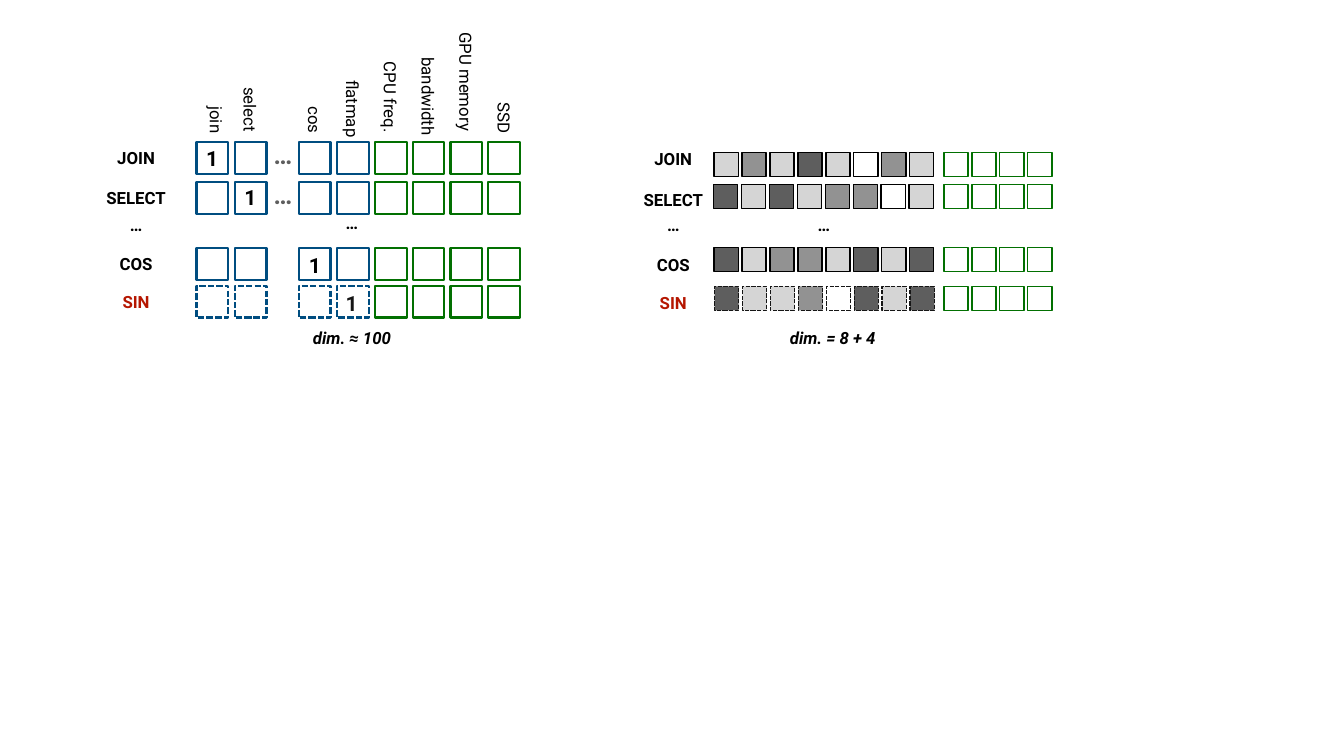
import dataclasses
import typing

import pptx
import pptx.dml.color
import pptx.enum.dml
import pptx.enum.shapes
import pptx.enum.text
import pptx.oxml.ns
import pptx.util

Inches = pptx.util.Inches
RGBColor = pptx.dml.color.RGBColor

BLACK = RGBColor(0x00, 0x00, 0x00)
INK = RGBColor(0x15, 0x15, 0x15)
BLUE = RGBColor(0x00, 0x4D, 0x80)
GREEN = RGBColor(0x02, 0x70, 0x01)
RED = RGBColor(0xB5, 0x16, 0x00)
DARK = RGBColor(0x5E, 0x5E, 0x5E)
SHADES = {
    "D": DARK,
    "M": RGBColor(0x92, 0x92, 0x92),
    "L": RGBColor(0xD5, 0xD5, 0xD5),
    "W": RGBColor(0xFF, 0xFF, 0xFF),
}

FONT = "Roboto"
ONE_HOT_SIZE = 0.63
ONE_HOT_COLUMNS = (3.9, 4.66, 5.93, 6.69)
HARDWARE_COLUMNS = tuple(7.44 + 0.75 * i for i in range(4))
EMBEDDING_SIZE = 0.48
EMBEDDING_PITCH = (18.05 - 14.17) / 7
EMBEDDING_HARDWARE_LEFT = 18.73
ONE_HOT_LABEL_CENTER = 2.7
EMBEDDING_LABEL_CENTER = 13.36


@dataclasses.dataclass(frozen=True)
class Header:
    text: str
    left: float
    top: float
    height: float


@dataclasses.dataclass(frozen=True)
class Operator:
    name: str
    label_width: float
    one_hot_top: float
    one_hot_label_top: float
    digit_left: float
    digit_top: float
    embedding_left: float
    embedding_top: float
    embedding_label_top: float
    shades: str
    has_gap_dots: bool = False
    is_new: bool = False


HEADERS = (
    Header("join", 4.05, 2.05, 0.65),
    Header("select", 4.72, 1.67, 1.01),
    Header("cos", 6, 2.05, 0.66),
    Header("flatmap", 6.75, 1.53, 1.24),
    Header("CPU freq.", 7.5, 1.17, 1.59),
    Header("bandwidth", 8.25, 1.08, 1.7),
    Header("GPU memory", 9, 0.58, 2.14),
    Header("SSD", 9.76, 1.98, 0.79),
)

OPERATORS = (
    Operator("JOIN", 0.92, 2.82, 2.89, 4.03, 2.83, 14.17, 3.02, 2.91,
             "MLDLWML".join(("L", ""))[:1] + "MLDLWML", has_gap_dots=True),
    Operator("SELECT", 1.42, 3.62, 3.68, 4.79, 3.6, 14.16, 3.66, 3.71,
             "DLDLMMWL", has_gap_dots=True),
    Operator("COS", 0.85, 4.93, 4.99, 6.07, 4.96, 14.17, 4.91, 5.01,
             "DLMMLDLD"),
    Operator("SIN", 0.69, 5.67, 5.74, 6.8, 5.71, 14.18, 5.68, 5.76,
             "DLLMWDLD", is_new=True),
)


def add_text(page, text: str, left: float, top: float, width: float,
             height: float = 0.5, size: float = 24, color: RGBColor = BLACK,
             bold: bool = True, italic: bool = False,
             vertical: bool = False) -> None:
    box = page.shapes.add_textbox(
        Inches(left), Inches(top), Inches(width), Inches(height))
    frame = box.text_frame
    frame.word_wrap = False
    frame.auto_size = pptx.enum.text.MSO_AUTO_SIZE.SHAPE_TO_FIT_TEXT
    frame.vertical_anchor = pptx.enum.text.MSO_ANCHOR.MIDDLE
    frame.margin_left = frame.margin_right = Inches(0.06)
    frame.margin_top = frame.margin_bottom = Inches(0.06)
    if vertical:
        properties = box.element.find(".//" + pptx.oxml.ns.qn("a:bodyPr"))
        properties.set("vert", "eaVert")
    para = frame.paragraphs[0]
    para.alignment = pptx.enum.text.PP_ALIGN.CENTER
    span = para.add_run()
    span.text = text
    span.font.name = FONT
    span.font.size = pptx.util.Pt(size)
    span.font.bold = bold
    span.font.italic = italic
    span.font.color.rgb = color


def add_cell(shapes, left: float, top: float, size: float, color: RGBColor,
             weight: float, fill: typing.Optional[RGBColor] = None,
             dashed: bool = False) -> None:
    cell = shapes.add_shape(
        pptx.enum.shapes.MSO_SHAPE.RECTANGLE,
        Inches(left), Inches(top), Inches(size), Inches(size))
    cell.shadow.inherit = False
    if fill is None:
        cell.fill.background()
    else:
        cell.fill.solid()
        cell.fill.fore_color.rgb = fill
    cell.line.color.rgb = color
    cell.line.width = pptx.util.Pt(weight)
    if dashed:
        cell.line.dash_style = pptx.enum.dml.MSO_LINE.SQUARE_DOT


def add_label(page, operator: Operator, center: float, top: float) -> None:
    add_text(page, operator.name, center - operator.label_width / 2, top,
             operator.label_width, color=RED if operator.is_new else BLACK)


def add_one_hot_row(page, operator: Operator) -> None:
    top = operator.one_hot_top
    for left in ONE_HOT_COLUMNS:
        add_cell(page.shapes, left, top, ONE_HOT_SIZE, BLUE, 3,
                 dashed=operator.is_new)
    for left in HARDWARE_COLUMNS:
        add_cell(page.shapes, left, top, ONE_HOT_SIZE, GREEN, 3)
    if operator.has_gap_dots:
        add_text(page, "…", 5.3, top - 0.11, 0.63, 0.71, 36, DARK)
    add_text(page, "1", operator.digit_left, operator.digit_top, 0.36, 0.61,
             30, INK if operator.is_new else BLACK)
    add_label(page, operator, ONE_HOT_LABEL_CENTER,
              operator.one_hot_label_top)


def add_embedding_row(page, operator: Operator) -> None:
    top = operator.embedding_top
    for index, shade in enumerate(operator.shades):
        add_cell(page.shapes, operator.embedding_left + index * EMBEDDING_PITCH,
                 top, EMBEDDING_SIZE, INK if operator.is_new else BLACK, 2,
                 SHADES[shade], operator.is_new)
    add_label(page, operator, EMBEDDING_LABEL_CENTER,
              operator.embedding_label_top)
    hardware = page.shapes.add_group_shape()
    for index in range(4):
        add_cell(hardware.shapes,
                 EMBEDDING_HARDWARE_LEFT + index * EMBEDDING_PITCH,
                 top, EMBEDDING_SIZE, GREEN, 2)


def build() -> None:
    deck = pptx.Presentation()
    deck.slide_width = Inches(26.67)
    deck.slide_height = Inches(15)
    page = deck.slides.add_slide(deck.slide_layouts[6])
    for header in HEADERS:
        add_text(page, header.text, header.left, header.top, 0.5,
                 header.height, bold=False, vertical=True)
    for operator in OPERATORS:
        add_one_hot_row(page, operator)
    for operator in OPERATORS:
        add_embedding_row(page, operator)
    for left, top in ((2.47, 4.22), (6.75, 4.17), (13.13, 4.22), (16.12, 4.22)):
        add_text(page, "…", left, top, 0.46)
    add_text(page, "dim. ≈ 100", 6.11, 6.45, 1.75, italic=True)
    add_text(page, "dim. = 8 + 4", 15.55, 6.45, 1.95, italic=True)
    deck.save("out.pptx")


build()
